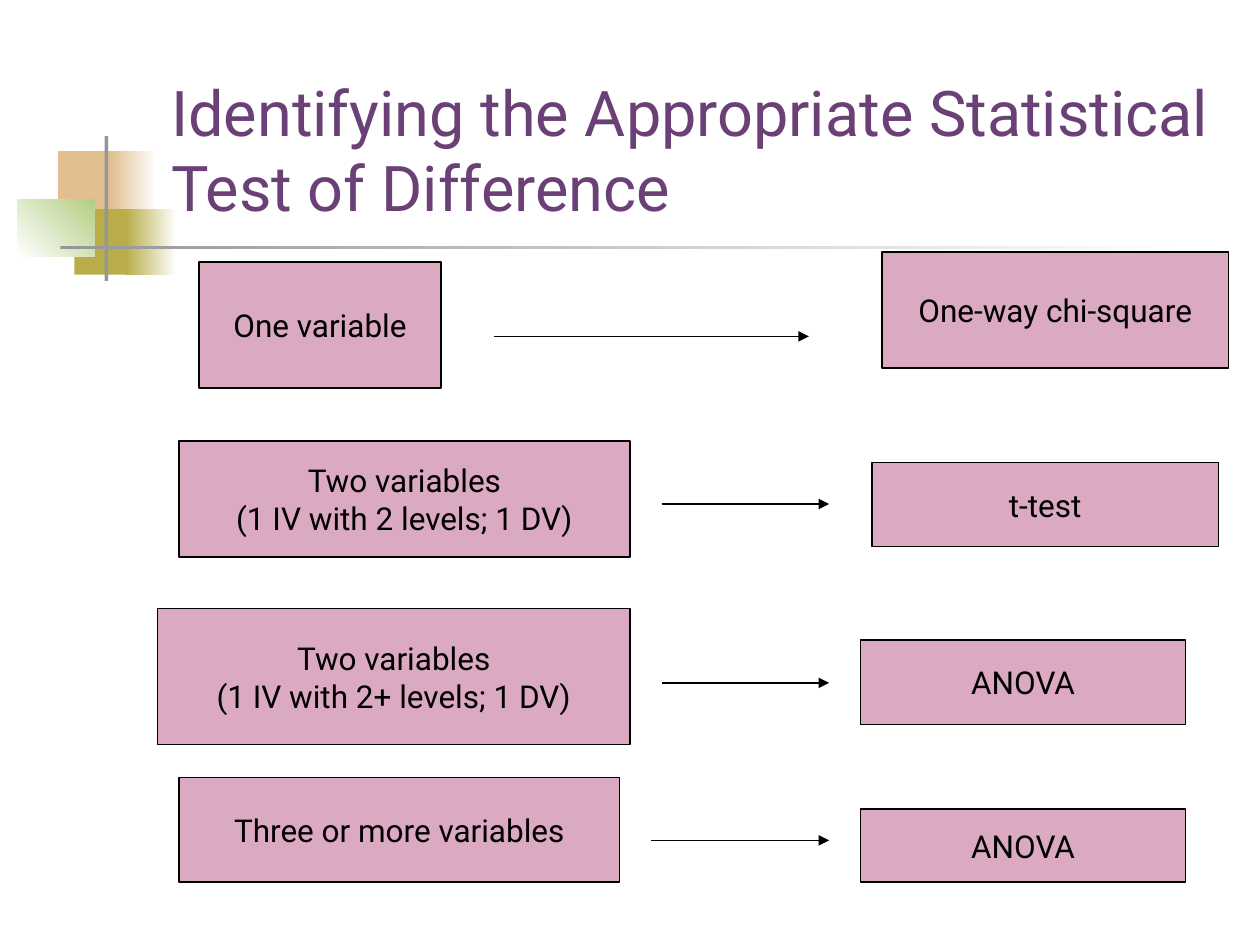
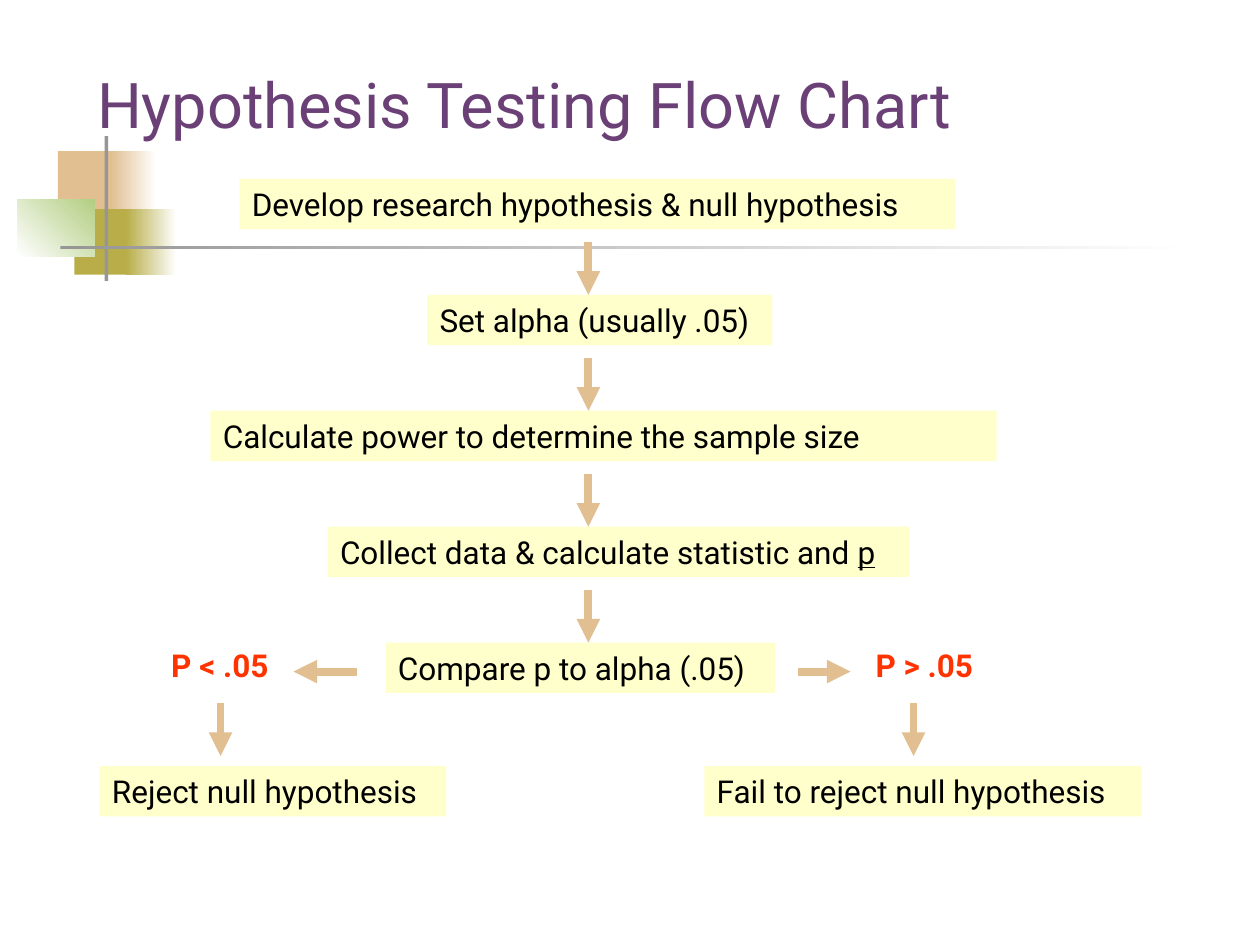
from dataclasses import dataclass

from lxml import etree
from pptx import Presentation
from pptx.dml.color import RGBColor
from pptx.enum.shapes import MSO_CONNECTOR, MSO_SHAPE
from pptx.enum.text import MSO_ANCHOR, MSO_AUTO_SIZE, PP_ALIGN
from pptx.oxml.ns import qn
from pptx.util import Emu, Pt

RECTANGLE = MSO_SHAPE.RECTANGLE
STRAIGHT = MSO_CONNECTOR.STRAIGHT
TOP, MIDDLE, BOTTOM = MSO_ANCHOR.TOP, MSO_ANCHOR.MIDDLE, MSO_ANCHOR.BOTTOM
LEFT, CENTER = PP_ALIGN.LEFT, PP_ALIGN.CENTER
NO_AUTOFIT = MSO_AUTO_SIZE.NONE

EMU_PER_PX = 9144
SLIDE_SIZE = (1000, 750)
TITLE_ONLY = 5
FIRST_BAND_ID = 101


@dataclass(frozen=True)
class Theme:
    """Colours, font and sizes shared by the slides."""
    font: str = "Roboto"
    title_size: int = 36
    text_size: int = 18
    outline: float = 0.75
    flow_line: float = 4.5
    title: str = "6A4076"
    text: str = "000000"
    verdict: str = "FF3300"
    case: str = "DBA9C2"
    step: str = "FFFFCC"
    tan: str = "E1BF91"
    olive: str = "B8AD48"
    green: str = "B3CE82"
    grey: str = "969696"
    white: str = "FFFFFF"


THEME = Theme()

BANDS = [
    ((46, 120, 48, 52), (THEME.tan,), 0),
    ((88, 120, 36, 52), (THEME.tan, THEME.white), 0),
    ((59, 166, 46, 52), (THEME.olive,), 0),
    ((100, 166, 40, 52), (THEME.olive, THEME.white), 0),
    ((14, 158, 61, 46), (THEME.white, THEME.green), 45),
    ((83, 108, 3, 115), (THEME.grey,), 0),
    ((48, 195, 900, 3), (THEME.grey, THEME.white), 0),
]

TEST_CHOICES = [
    (["One variable"], (158, 208, 192, 100),
     "One-way chi-square", (700, 200, 275, 92), (392, 642, 267)),
    (["Two variables", "(1 IV with 2 levels; 1 DV)"], (142, 350, 358, 92),
     "t-test", (692, 367, 275, 67), (525, 658, 400)),
    (["Two variables", "(1 IV with 2+ levels; 1 DV)"], (125, 483, 375, 108),
     "ANOVA", (683, 508, 258, 67), (525, 658, 542)),
    (["Three or more variables"], (142, 617, 350, 83),
     "ANOVA", (683, 642, 258, 58), (517, 658, 667)),
]

STEP_HEIGHT = 40
STEP_TOP = 142
STEP_PITCH = 92
FLOW_X = 467
FLOW_LENGTH = 42
STEPS = [
    (["Develop research hypothesis & null hypothesis"], 190, 568),
    (["Set alpha (usually .05)"], 339, 274),
    (["Calculate power to determine the sample size"], 167, 624),
    (["Collect data & calculate statistic and ", "p"], 260, 462),
    (["Compare p to alpha (.05)"], 306, 309),
]
BRANCH_TOP = 508
OUTCOME_TOP = 608
BRANCHES = [
    ("P < .05", 126, (283, 233), 175, "Reject null hypothesis", 79, 275),
    ("P > .05", 685, (633, 675), 725, "Fail to reject null hypothesis", 559, 347),
]


def px(length):
    """Turn whole px into EMU."""
    return Emu(length * EMU_PER_PX)


def rgb(colour):
    """Turn a hex string into a colour."""
    return RGBColor.from_string(colour)


def add_run(paragraph, text, size, colour, bold=False, underline=False):
    """Add one formatted run."""
    run = paragraph.add_run()
    run.text = text
    font = run.font
    font.name, font.size = THEME.font, Pt(size)
    font.color.rgb = rgb(colour)
    font.bold, font.underline = bold, underline


def set_frame(shape, anchor):
    """Give a shape a wrapping text frame of fixed size."""
    frame = shape.text_frame
    frame.auto_size = NO_AUTOFIT
    frame.word_wrap = True
    frame.vertical_anchor = anchor
    return frame


def add_rectangle(slide, box, fills, angle=0, outline=None):
    """Add a rectangle with a plain or two-colour gradient fill."""
    rectangle = slide.shapes.add_shape(RECTANGLE, *map(px, box))
    rectangle.shadow.inherit = False
    if len(fills) == 1:
        rectangle.fill.solid()
        rectangle.fill.fore_color.rgb = rgb(fills[0])
    else:
        rectangle.fill.gradient()
        rectangle.fill.gradient_angle = angle
        for position, (stop, colour) in enumerate(
                zip(rectangle.fill.gradient_stops, fills)):
            stop.color.rgb = rgb(colour)
            stop.position = position
    if outline:
        rectangle.line.color.rgb = rgb(outline)
        rectangle.line.width = Pt(THEME.outline)
    else:
        rectangle.line.fill.background()
    return rectangle


def add_bands_to_master(slide):
    """Build the corner bands and place them behind everything on the master."""
    master_tree = slide.slide_layout.slide_master.shapes.element
    for order, (box, fills, angle) in enumerate(BANDS):
        band = add_rectangle(slide, box, fills, angle).element
        band.nvSpPr.cNvPr.set("id", str(FIRST_BAND_ID + order))
        master_tree.insert(2 + order, band)


def set_title(slide, text, box):
    """Place and write the slide title."""
    title = slide.shapes.title
    title.left, title.top, title.width, title.height = map(px, box)
    heading = set_frame(title, BOTTOM).paragraphs[0]
    heading.alignment = LEFT
    add_run(heading, text, THEME.title_size, THEME.title)


def add_arrow(slide, start, end, colour, width):
    """Add a straight arrow with a triangle at its end."""
    arrow = slide.shapes.add_connector(STRAIGHT, *map(px, start + end))
    arrow.line.color.rgb = rgb(colour)
    arrow.line.width = Pt(width)
    etree.SubElement(arrow.get_or_add_ln(), qn("a:tailEnd"), type="triangle")
    etree.SubElement(arrow.element.spPr, qn("a:effectLst"))


def add_flow(slide, start, end):
    """Add a thick arrow of the flow chart."""
    add_arrow(slide, start, end, THEME.tan, THEME.flow_line)


def add_case(slide, lines, box):
    """Add an outlined box with centred lines."""
    case = add_rectangle(slide, box, (THEME.case,), outline=THEME.text)
    frame = set_frame(case, MIDDLE)
    for number, line in enumerate(lines):
        paragraph = frame.add_paragraph() if number else frame.paragraphs[0]
        paragraph.alignment = CENTER
        add_run(paragraph, line, THEME.text_size, THEME.text)


def add_step(slide, parts, left, top, width):
    """Add a flow chart step; any part after the first is underlined."""
    step = add_rectangle(slide, (left, top, width, STEP_HEIGHT), (THEME.step,))
    paragraph = set_frame(step, TOP).paragraphs[0]
    paragraph.alignment = LEFT
    for number, part in enumerate(parts):
        add_run(paragraph, part, THEME.text_size, THEME.text, underline=number > 0)


def add_verdict(slide, text, left):
    """Add the bold label of a branch."""
    box = (left, BRANCH_TOP, 99, STEP_HEIGHT)
    verdict = slide.shapes.add_textbox(*map(px, box))
    paragraph = set_frame(verdict, TOP).paragraphs[0]
    add_run(paragraph, text, THEME.text_size, THEME.verdict, bold=True)


def fill_test_slide(slide):
    """Match each set of variables to its test."""
    set_title(slide, "Identifying the Appropriate Statistical Test of Difference",
              (126, 23, 852, 160))
    for variables, variables_box, test, test_box, (start, end, y) in TEST_CHOICES:
        add_case(slide, variables, variables_box)
        add_arrow(slide, (start, y), (end, y), THEME.text, THEME.outline)
        add_case(slide, [test], test_box)


def fill_flow_slide(slide):
    """Draw the steps of a hypothesis test and its two outcomes."""
    set_title(slide, "Hypothesis Testing Flow Chart", (67, 42, 850, 75))
    for number, (parts, left, width) in enumerate(STEPS):
        top = STEP_TOP + number * STEP_PITCH
        if number:
            add_flow(slide, (FLOW_X, top - FLOW_LENGTH), (FLOW_X, top))
        add_step(slide, parts, left, top, width)
    side_y, down_y = BRANCH_TOP + 25, BRANCH_TOP + 50
    for verdict, verdict_left, (start, end), x, outcome, left, width in BRANCHES:
        add_flow(slide, (start, side_y), (end, side_y))
        add_verdict(slide, verdict, verdict_left)
        add_flow(slide, (x, down_y), (x, down_y + FLOW_LENGTH))
        add_step(slide, [outcome], left, OUTCOME_TOP, width)


def main():
    """Build and save both slides."""
    deck = Presentation()
    deck.slide_width, deck.slide_height = map(px, SLIDE_SIZE)
    layout = deck.slide_layouts[TITLE_ONLY]
    test_slide = deck.slides.add_slide(layout)
    add_bands_to_master(test_slide)
    fill_test_slide(test_slide)
    fill_flow_slide(deck.slides.add_slide(layout))
    deck.save("out.pptx")


if __name__ == "__main__":
    main()
